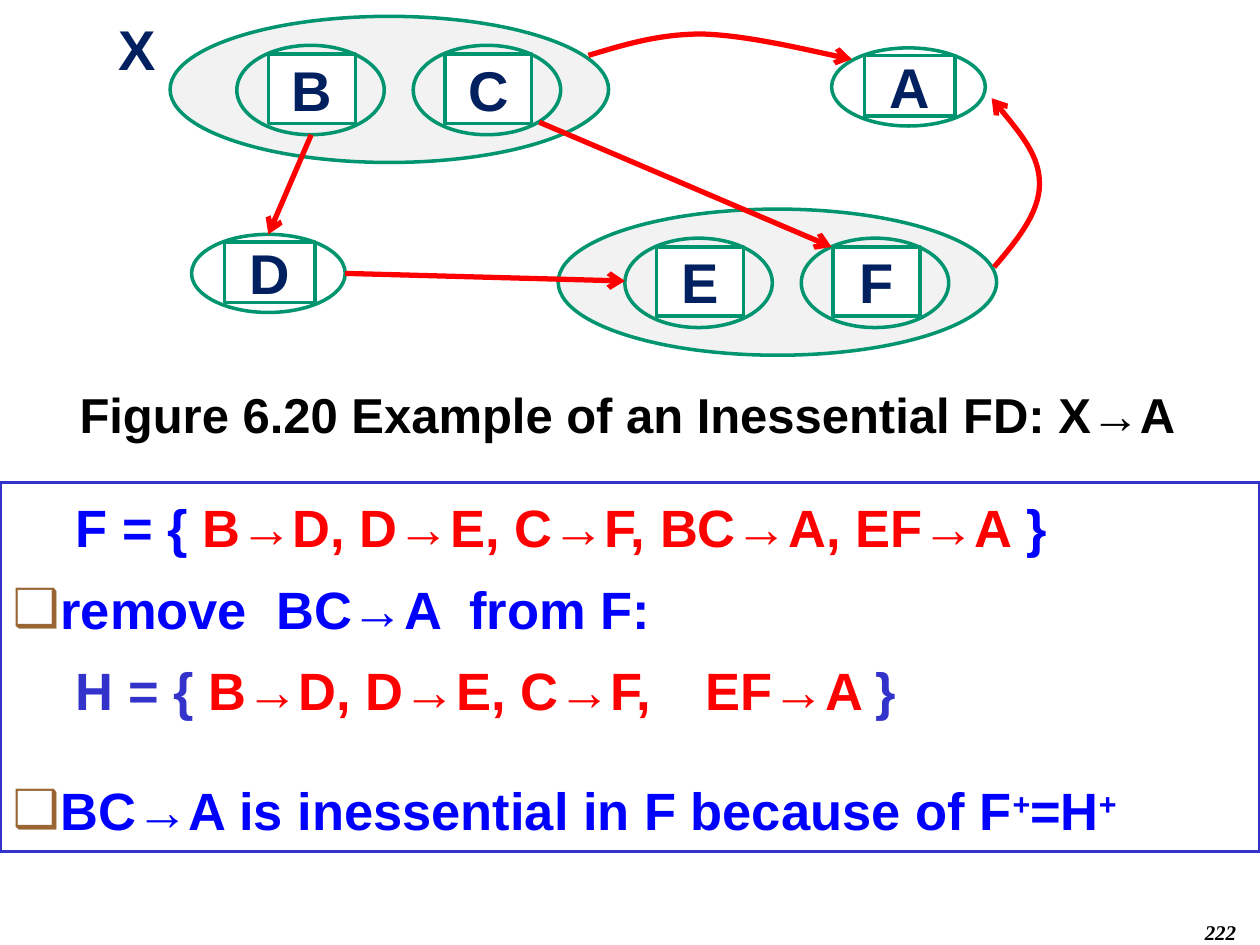
from dataclasses import dataclass

from lxml.etree import SubElement
from pptx import Presentation
from pptx.dml.color import RGBColor
from pptx.enum.shapes import MSO_CONNECTOR, MSO_SHAPE
from pptx.enum.text import MSO_ANCHOR, MSO_AUTO_SIZE, PP_ALIGN
from pptx.oxml.ns import qn
from pptx.util import Inches, Pt


@dataclass(frozen=True)
class Theme:
    sans: str = "Arial"
    serif: str = "Times New Roman"
    navy: str = "002060"
    green: str = "00956F"
    gray: str = "F2F2F2"
    white: str = "FFFFFF"
    black: str = "000000"
    red: str = "FF0000"
    blue: str = "0000FF"
    indigo: str = "3333CC"
    brown: str = "996633"
    node_size: int = 32
    body_size: int = 30
    caption_size: int = 28
    number_size: int = 12
    outline: int = 2
    arrow: int = 3


theme = Theme()


def add_span(para, text, size=theme.body_size, color=theme.blue, font=theme.sans,
             italic=False, superscript=False):
    span = para.add_run()
    span.text = text
    span.font.size = Pt(size)
    span.font.name = font
    span.font.bold = True
    span.font.italic = italic
    span.font.color.rgb = RGBColor.from_string(color)
    if superscript:
        span._r.get_or_add_rPr().set("baseline", "30000")


def style_arrow(arrow):
    arrow.line.color.rgb = RGBColor.from_string(theme.red)
    arrow.line.width = Pt(theme.arrow)
    SubElement(arrow.line._get_or_add_ln(), qn("a:tailEnd"), type="arrow")


deck = Presentation()
deck.slide_width = Inches(10)
deck.slide_height = Inches(7.5)
page = deck.slides.add_slide(deck.slide_layouts[1])
shapes = page.shapes

caption = shapes.title
caption.left, caption.top = Inches(0.08), Inches(3)
caption.width, caption.height = Inches(9.8), Inches(0.57)
caption.text_frame.auto_size = MSO_AUTO_SIZE.NONE
caption.text_frame.vertical_anchor = MSO_ANCHOR.MIDDLE
para = caption.text_frame.paragraphs[0]
para.alignment = PP_ALIGN.CENTER
add_span(para, "Figure 6.20 Example of an Inessential FD: X→A",
         size=theme.caption_size, color=theme.black)

body = page.placeholders[1]
body.left, body.top = Inches(0), Inches(3.83)
body.width, body.height = Inches(10), Inches(2.93)
body.line.color.rgb = RGBColor.from_string(theme.indigo)
body.line.width = Pt(theme.outline)
body.text_frame.auto_size = MSO_AUTO_SIZE.NONE
body.text_frame.word_wrap = True

statements = [
    (False, 0, [("F = { ", theme.blue), ("B→D, D→E, C→F, BC→A, EF→A ", theme.red),
                ("}", theme.blue)]),
    (True, 7, [("remove  BC→A  from F:", theme.blue)]),
    (False, 7, [("H = { ", theme.indigo), ("B→D, D→E, C→F,\tEF→A ", theme.red),
                ("}", theme.indigo)]),
    (True, 29, [("BC→A is inessential in F because of F", theme.blue), ("+", theme.blue),
                ("=H", theme.blue), ("+", theme.blue)]),
]
for index, (bulleted, space, spans) in enumerate(statements):
    para = body.text_frame.paragraphs[0] if index == 0 else body.text_frame.add_paragraph()
    properties = para._p.get_or_add_pPr()
    if bulleted:
        properties.set("marL", str(Inches(0.38)))
        properties.set("indent", str(-Inches(0.38)))
        bullet_color = SubElement(properties, qn("a:buClr"))
        SubElement(bullet_color, qn("a:srgbClr"), val=theme.brown)
        SubElement(properties, qn("a:buChar"), char="❑")
    else:
        properties.set("marL", "0")
        properties.set("indent", str(Inches(0.5)))
        SubElement(properties, qn("a:buNone"))
        tabs = SubElement(properties, qn("a:tabLst"))
        SubElement(tabs, qn("a:tab"), pos=str(Inches(6.69)), algn="l")
    para.line_spacing = 1.1
    para.space_before = Pt(space)
    for text, color in spans:
        add_span(para, text, color=color, superscript=text == "+")

ellipses = []
labels = []
for left, top, names in [(1.35, 0.13, "BC"), (4.43, 1.66, "EF")]:
    ellipses.append((left, top, 3.48, 1.16, theme.gray))
    for column, name in enumerate(names):
        inner_left = left + 0.53 + 1.4 * column
        ellipses.append((inner_left, top + 0.23, 1.17, 0.71, None))
        labels.append((inner_left + 0.25, top + 0.3, 0.69, 0.55, name))
for left, top, name in [(1.52, 1.86, "D"), (6.6, 0.38, "A")]:
    ellipses.append((left, top, 1.22, 0.62, None))
    labels.append((left + 0.26, top + 0.06, 0.72, 0.48, name))

for left, top, width, height, fill in ellipses:
    ellipse = shapes.add_shape(MSO_SHAPE.OVAL, Inches(left), Inches(top),
                               Inches(width), Inches(height))
    ellipse.shadow.inherit = False
    ellipse.line.color.rgb = RGBColor.from_string(theme.green)
    ellipse.line.width = Pt(theme.outline)
    if fill:
        ellipse.fill.solid()
        ellipse.fill.fore_color.rgb = RGBColor.from_string(fill)
    else:
        ellipse.fill.background()

labels.append((0.83, 0.19, 0.52, 0.38, "X"))
for left, top, width, height, name in labels:
    frame = Inches(left), Inches(top), Inches(width), Inches(height)
    if name == "X":
        box = shapes.add_textbox(*frame)
    else:
        box = shapes.add_shape(MSO_SHAPE.RECTANGLE, *frame)
        box.shadow.inherit = False
        box.fill.solid()
        box.fill.fore_color.rgb = RGBColor.from_string(theme.white)
        box.line.color.rgb = RGBColor.from_string(theme.green)
        box.line.width = Pt(theme.outline)
    text_frame = box.text_frame
    text_frame.margin_left = text_frame.margin_right = Inches(0)
    text_frame.margin_top = text_frame.margin_bottom = Inches(0)
    text_frame.vertical_anchor = MSO_ANCHOR.MIDDLE
    text_frame.word_wrap = True
    para = text_frame.paragraphs[0]
    para.alignment = PP_ALIGN.CENTER
    add_span(para, name, size=theme.node_size, color=theme.navy)

for ends in [(2.47, 1.07, 2.13, 1.86), (4.28, 0.97, 6.6, 1.96), (2.74, 2.17, 4.96, 2.23)]:
    arrow = shapes.add_connector(MSO_CONNECTOR.STRAIGHT, *[Inches(value) for value in ends])
    style_arrow(arrow)
    SubElement(arrow._element.spPr, qn("a:effectLst"))

curves = [
    [(4.67, 0.44), (4.94, 0.36), (5.22, 0.27), (5.57, 0.27),
     (5.92, 0.28), (6.55, 0.43), (6.76, 0.47)],
    [(7.89, 2.12), (8.07, 1.91), (8.25, 1.69), (8.25, 1.46),
     (8.25, 1.24), (8.06, 1.01), (7.87, 0.78)],
]
for points in curves:
    start, *controls = [(Inches(x), Inches(y)) for x, y in points]
    builder = shapes.build_freeform(*start)
    builder.add_line_segments(controls, close=False)
    curve = builder.convert_to_shape()
    curve.shadow.inherit = False
    curve.fill.background()
    style_arrow(curve)
    outline = next(curve._element.iter(qn("a:path")))
    segments = outline.findall(qn("a:lnTo"))
    for first in range(0, len(segments), 3):
        bezier = SubElement(outline, qn("a:cubicBezTo"))
        for segment in segments[first:first + 3]:
            bezier.append(segment[0])
            outline.remove(segment)

number = shapes.add_textbox(Inches(7.83), Inches(7.25), Inches(2.08), Inches(0.25))
number.text_frame.word_wrap = True
para = number.text_frame.paragraphs[0]
para.alignment = PP_ALIGN.RIGHT
add_span(para, "222", size=theme.number_size, color=theme.black, font=theme.serif, italic=True)

deck.save("out.pptx")
